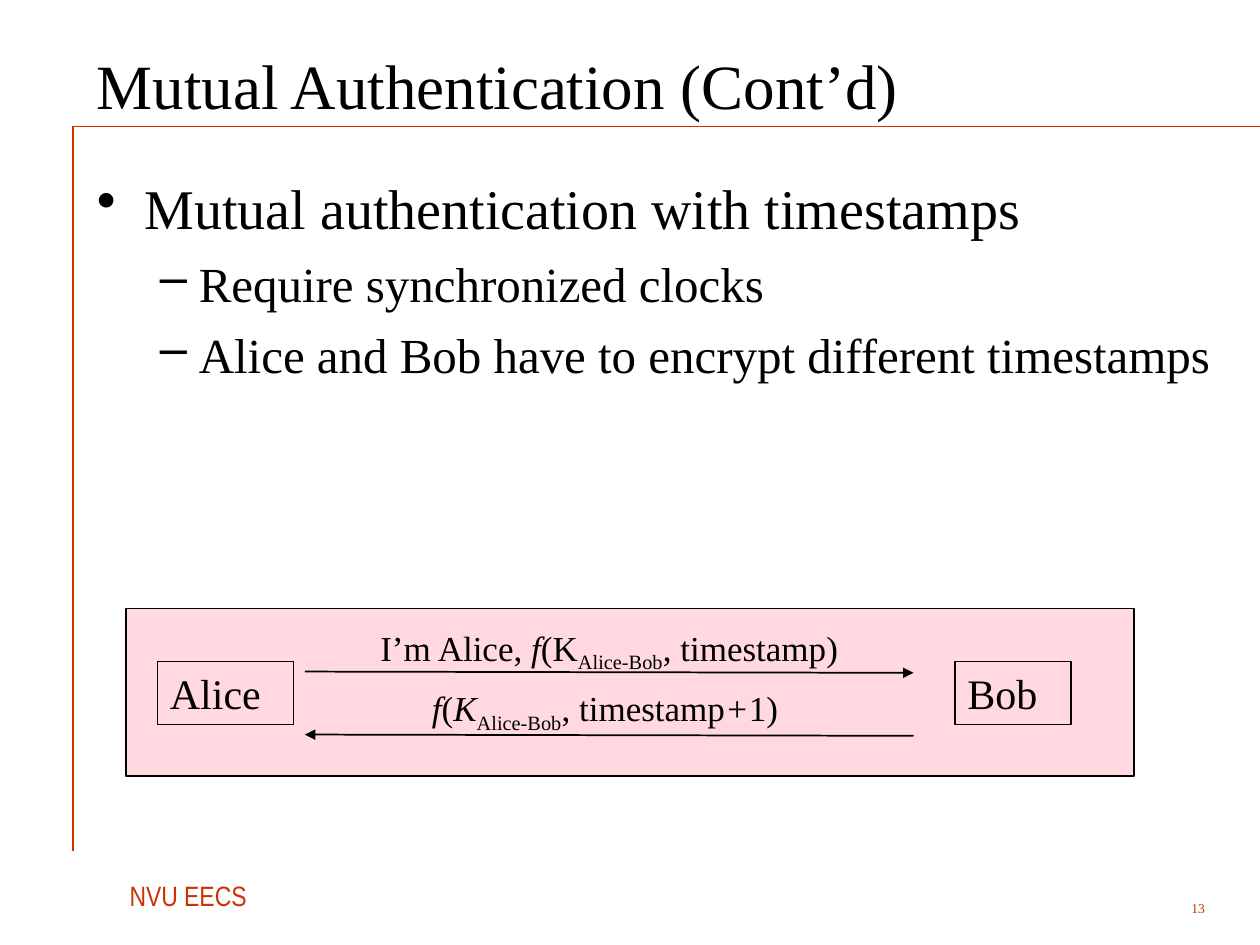
from lxml import etree
from pptx import Presentation
from pptx.dml.color import RGBColor
from pptx.enum import shapes, text
from pptx.oxml.ns import qn
from pptx.util import Inches, Pt

BLACK = RGBColor(0, 0, 0)
RUST = RGBColor(0xCC, 0x33, 0)
PINK = RGBColor(0xFF, 0xD9, 0xDF)
SERIF = "Times New Roman"

deck = Presentation()
deck.slide_width, deck.slide_height = Inches(10), Inches(7.5)
slide = deck.slides.add_slide(deck.slide_layouts[6])


def write(shape, paras, size, color=BLACK, face=SERIF, **format):
    frame = shape.text_frame
    for name, value in ({"word_wrap": True} | format).items():
        setattr(frame, name, value)
    for i, runs in enumerate(paras):
        para = frame.paragraphs[0] if i == 0 else frame.add_paragraph()
        para.alignment = text.PP_ALIGN.LEFT
        for words, style in runs:
            run = para.add_run()
            run.text = words
            look = {"size": Pt(size), "name": face, "italic": "i" in style}
            for name, value in look.items():
                setattr(run.font, name, value)
            run.font.color.rgb = color
            if "sub" in style:
                run.font._element.set("baseline", "-25000")
    return frame.paragraphs


def link(x1, y1, x2, y2, color, width, end=None):
    line = slide.shapes.add_connector(
        shapes.MSO_CONNECTOR.STRAIGHT, *map(Inches, (x1, y1, x2, y2)))
    line.line.color.rgb = color
    line.line.width = Pt(width)
    if end:
        etree.SubElement(line.line._get_or_add_ln(), qn("a:" + end), type="triangle")
    etree.SubElement(line._element.spPr, qn("a:effectLst"))


link(0.58, 1, 10, 1, RUST, 0.26)
link(0.58, 1, 0.58, 6.75, RUST, 0.74)

GROW = text.MSO_AUTO_SIZE.SHAPE_TO_FIT_TEXT
MID = text.MSO_ANCHOR.MIDDLE

foot = slide.shapes.add_textbox(*map(Inches, (0.93, 6.92, 1.19, 0.37)))
write(foot, [[("NVU EECS", "")]], 16, RUST, "Arial Narrow",
      word_wrap=False, auto_size=GROW)[0].space_before = Pt(4)

page = slide.shapes.add_textbox(*map(Inches, (8.83, 7.08, 0.83, 0.25)))
write(page, [[("13", "")]], 7.7, RUST,
      vertical_anchor=MID)[0].alignment = text.PP_ALIGN.RIGHT

title = slide.shapes.add_textbox(*map(Inches, (0.67, 0.17, 9.01, 1)))
write(title, [[("Mutual Authentication (Cont’d)", "")]], 36, vertical_anchor=MID)

body = slide.shapes.add_textbox(*map(Inches, (0.67, 1.33, 9.17, 2.42)))
points = [
    ("Mutual authentication with timestamps", 0),
    ("Require synchronized clocks", 1),
    ("Alice and Bob have to encrypt different timestamps", 1),
]
levels = [(32, 8, 0.38, -0.38, "•"), (28, 7, 0.81, -0.31, "–")]
paras = write(body, [[(words, "")] for words, level in points], 32)
for para, (words, level) in zip(paras, points):
    size, gap, left, hang, mark = levels[level]
    para.level = level
    para.space_before = Pt(gap)
    para.runs[0].font.size = Pt(size)
    props = para._p.get_or_add_pPr()
    props.set("marL", str(Inches(left)))
    props.set("indent", str(Inches(hang)))
    etree.SubElement(props, qn("a:buChar"), char=mark)

boxes = [
    ("", 1, 4.83, 8, 1.33),
    ("Alice", 1.25, 5.25, 1.08, 0.5),
    ("Bob", 7.58, 5.25, 0.92, 0.5),
]
for name, *place in boxes:
    box = slide.shapes.add_shape(shapes.MSO_SHAPE.RECTANGLE, *map(Inches, place))
    box.shadow.inherit = False
    box.line.color.rgb = BLACK
    box.line.width = Pt(0.99)
    if name:
        box.fill.background()
        write(box, [[(name, "")]], 24, auto_size=GROW,
              vertical_anchor=text.MSO_ANCHOR.TOP)
    else:
        box.fill.solid()
        box.fill.fore_color.rgb = PINK

for y, end in ((5.33, "tailEnd"), (5.83, "headEnd")):
    link(2.42, y, 7.25, y + 0.01, BLACK, 0.99, end)

notes = [
    (2.92, 4.92, 4, [("I’m Alice, ", ""), ("f", "i"), ("(K", ""),
                     ("Alice-Bob", "sub"), (", timestamp)", "")]),
    (3.33, 5.4, 3.17, [("f", "i"), ("(", ""), ("K", "i"), ("Alice-Bob", "sub"),
                       (", timestamp", ""), ("+", "i"), ("1)", "")]),
]
for x, y, wide, runs in notes:
    note = slide.shapes.add_textbox(*map(Inches, (x, y, wide, 0.48)))
    write(note, [runs], 20, auto_size=GROW)

deck.save("out.pptx")
